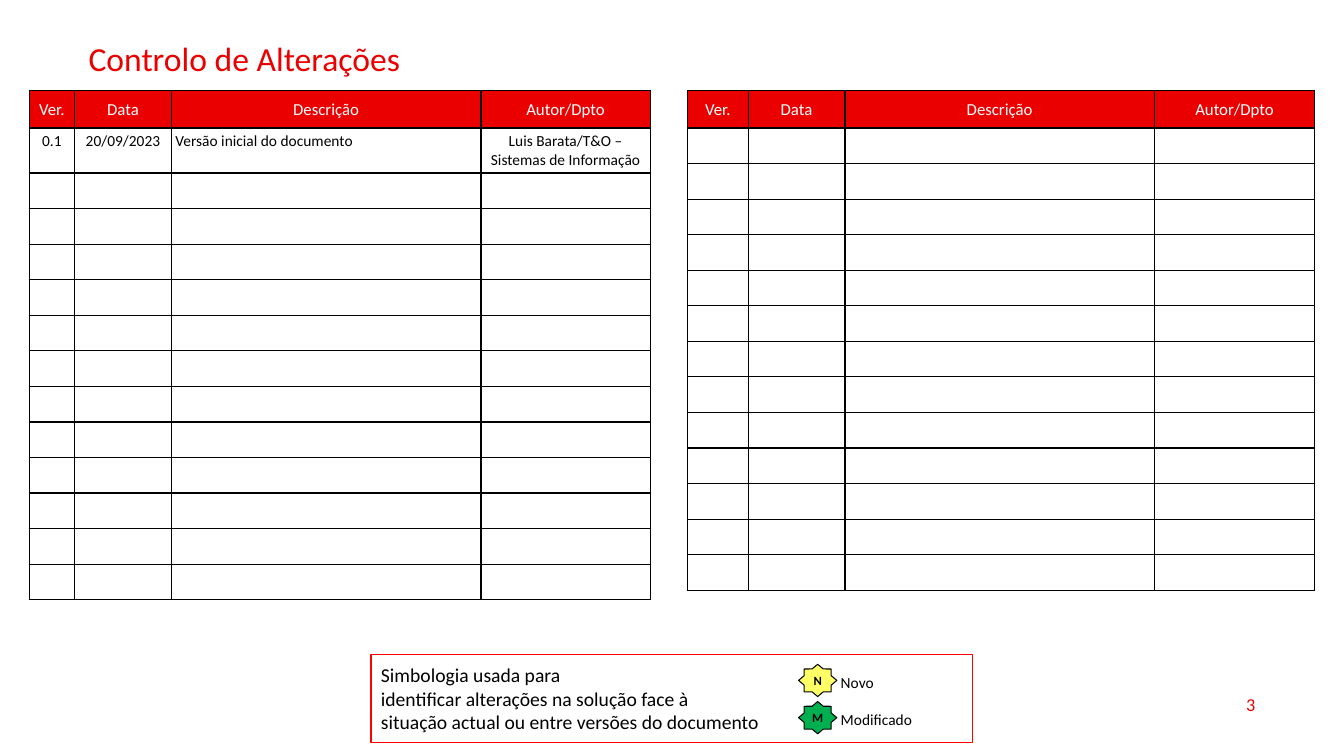
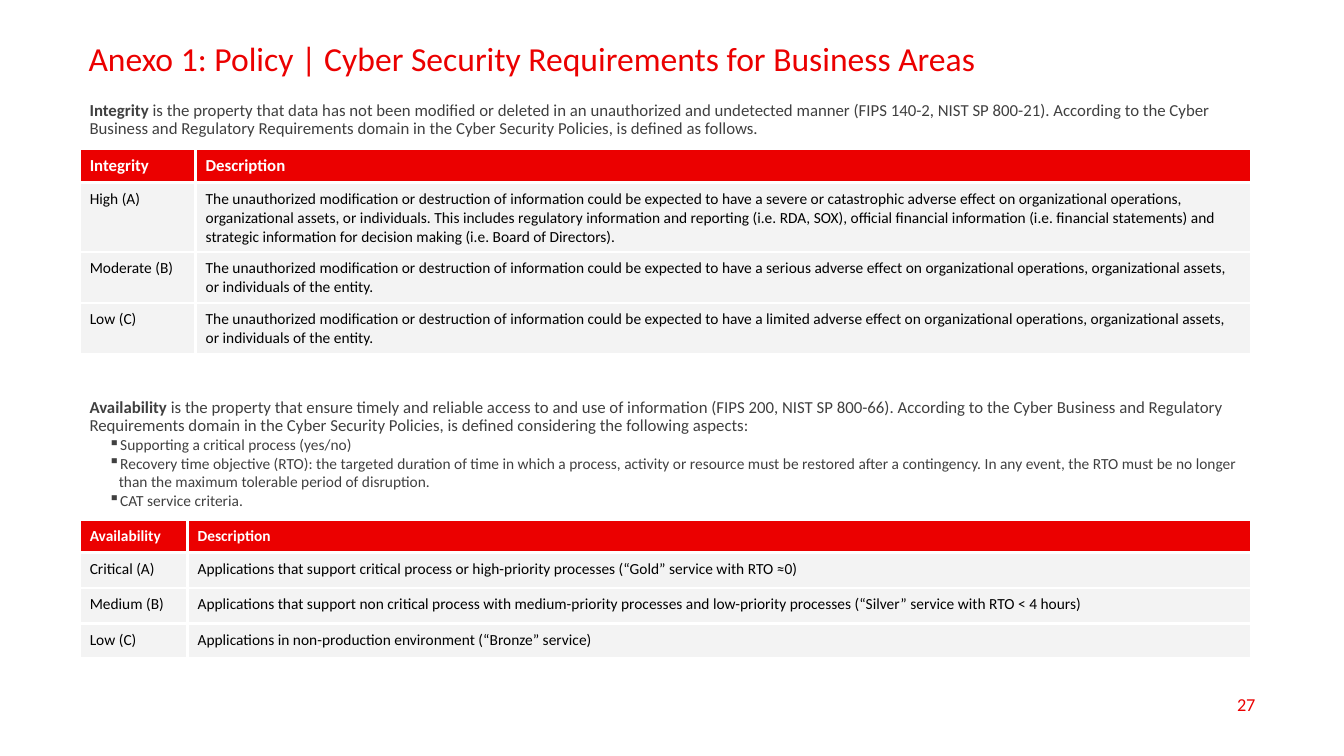
from lxml import etree
from pptx import Presentation
from pptx.dml.color import RGBColor
from pptx.enum import shapes, text
from pptx.oxml.ns import qn
from pptx.util import Inches, Pt


class Theme:
    font = "Calibri"
    red = RGBColor.from_string("EB0000")
    frame_red = RGBColor.from_string("FF0000")
    white = RGBColor.from_string("FFFFFF")
    black = RGBColor.from_string("000000")
    grey_text = RGBColor.from_string("404040")
    grey_cell = RGBColor.from_string("F3F3F3")
    yellow = RGBColor.from_string("FFFF66")
    green = RGBColor.from_string("00B050")
    title, legend, number, intro, body, badge = 24, 14, 13, 12, 11, 9


LEFT, CENTER, RIGHT = text.PP_ALIGN.LEFT, text.PP_ALIGN.CENTER, text.PP_ALIGN.RIGHT
TOP, MIDDLE = text.MSO_ANCHOR.TOP, text.MSO_ANCHOR.MIDDLE


def write(frame, lines, size, color, align=LEFT, anchor=TOP, bold=None, wrap=True):
    """Fill a text frame with one paragraph per line, all in one style."""
    frame.word_wrap = wrap
    frame.vertical_anchor = anchor
    for index, line in enumerate(lines):
        paragraph = frame.add_paragraph() if index else frame.paragraphs[0]
        paragraph.alignment = align
        font = paragraph.font
        font.name, font.size, font.bold = Theme.font, Pt(size), bold
        font.color.rgb = color
        if line:
            paragraph.add_run().text = line
        else:
            paragraph._p.get_or_add_endParaRPr().set("sz", str(size * 100))
    return frame


def add_grid(slide, at, widths, heights, rows, aligns, head_size, head_anchor,
             margins, body_fill, border):
    """Add a table with a red heading row and borders of one (colour, points)."""
    x, y = at
    table = slide.shapes.add_table(
        len(rows), len(widths), Inches(x), Inches(y),
        Inches(sum(widths)), Inches(sum(heights))).table
    table.horz_banding = False
    for column, width in zip(table.columns, widths):
        column.width = Inches(width)
    for row, height, values in zip(table.rows, heights, rows):
        row.height = Inches(height)
        is_head = values is rows[0]
        for cell, value, align in zip(row.cells, values, aligns):
            properties = cell._tc.get_or_add_tcPr()
            for side in ("a:lnL", "a:lnR", "a:lnT", "a:lnB"):
                line = etree.SubElement(properties, qn(side), w=str(Pt(border[1])))
                solid = etree.SubElement(line, qn("a:solidFill"))
                etree.SubElement(solid, qn("a:srgbClr"), val=str(border[0]))
            if is_head or body_fill is not None:
                cell.fill.solid()
                cell.fill.fore_color.rgb = Theme.red if is_head else body_fill
            else:
                cell.fill.background()
            cell.margin_left = cell.margin_right = Inches(margins[0])
            cell.margin_top = cell.margin_bottom = Inches(margins[1])
            cell.vertical_anchor = head_anchor if is_head else TOP
            write(cell.text_frame, [value],
                  head_size if is_head else Theme.body,
                  Theme.white if is_head else Theme.black,
                  align=CENTER if is_head and head_anchor == MIDDLE else align,
                  anchor=None, bold=is_head and head_anchor == TOP, wrap=None)
            cell.vertical_anchor = head_anchor if is_head else TOP


prs = Presentation()
prs.slide_width, prs.slide_height = Inches(13.33), Inches(7.5)

# Title and page number on every slide
slides = []
for heading, page in [
    ("Controlo de Alterações", "3"),
    ("Anexo 1: Policy | Cyber Security Requirements for Business Areas", "27"),
]:
    slide = prs.slides.add_slide(prs.slide_layouts[6])
    title = slide.shapes.add_textbox(Inches(0.78), Inches(0.37), Inches(11.77), Inches(0.33))
    write(title.text_frame, [heading], Theme.title, Theme.red)
    title.text_frame.paragraphs[0].line_spacing = 0.9
    number = slide.shapes.add_textbox(Inches(9.55), Inches(6.79), Inches(3), Inches(0.4))
    write(number.text_frame, [page], Theme.number, Theme.red, RIGHT, MIDDLE)
    slides.append(slide)
changes, policy = slides

# Change log: two tables of thirteen entries
ENTRIES = 13
HEAD_HEIGHT = 0.37
LOG_HEIGHT = 4.96
log_heights = [HEAD_HEIGHT] + [(LOG_HEIGHT - HEAD_HEIGHT) / ENTRIES] * ENTRIES
log_head = ["Ver.", "Data", "Descrição", "Autor/Dpto"]
first_entry = ["0.1", "20/09/2023", "Versão inicial do documento",
               "Luis Barata/T&O – Sistemas de Informação"]
for left, widths, entries in [
    (0.29, [0.45, 0.96, 3.07, 1.68], [first_entry]),
    (6.82, [0.6, 0.96, 3.07, 1.59], []),
]:
    blank_entries = [[""] * len(log_head)] * (ENTRIES - len(entries))
    add_grid(changes, (left, 0.9), widths, log_heights,
             [log_head] + entries + blank_entries,
             [CENTER, CENTER, LEFT, CENTER], Theme.intro, MIDDLE,
             (0.04, 0.04), None, (Theme.black, 1))

# Legend of change symbols
legend = changes.shapes.add_group_shape().shapes
frame = legend.add_shape(shapes.MSO_SHAPE.RECTANGLE,
                         Inches(3.68), Inches(6.49), Inches(5.97), Inches(0.88))
frame.shadow.inherit = False
frame.fill.background()
frame.line.color.rgb = Theme.frame_red
frame.line.width = Pt(0.75)
write(frame.text_frame,
      ["Simbologia usada para",
       "identificar alterações na solução face à",
       "situação actual ou entre versões do documento"],
      Theme.legend, Theme.black, anchor=MIDDLE)

meanings = legend.add_textbox(Inches(8.24), Inches(6.63), Inches(1.09), Inches(0.66))
write(meanings.text_frame, ["Novo", "Modificado"], Theme.body, Theme.black)
meanings.text_frame.paragraphs[1].space_before = Pt(13.4)

for letter, top, color in [("M", 6.96, Theme.green), ("N", 6.59, Theme.yellow)]:
    badge = legend.add_shape(shapes.MSO_SHAPE.STAR_8_POINT,
                             Inches(7.92), Inches(top), Inches(0.38), Inches(0.32))
    badge.adjustments[0] = 0.383
    badge.shadow.inherit = False
    badge.fill.solid()
    badge.fill.fore_color.rgb = color
    badge.line.color.rgb = Theme.black
    badge.line.width = Pt(0.75)
    write(badge.text_frame, [letter], Theme.badge, Theme.black, CENTER, MIDDLE,
          bold=True, wrap=False)

# Policy: a definition and a table of levels for each property
HARM = ("The unauthorized modification or destruction of information could be expected "
        "to have a {} adverse effect on organizational operations, organizational assets, "
        "or individuals")
properties = [
    ("Integrity", 0.96,
     " is the property that data has not been modified or deleted in an unauthorized and "
     "undetected manner (FIPS 140-2, NIST SP 800-21). According to the Cyber Business and "
     "Regulatory Requirements domain in the Cyber Security Policies, is defined as follows.",
     [],
     1.47, [1.15, 10.47], Theme.intro,
     [["High (A)", HARM.format("severe or catastrophic") +
       ". This includes regulatory information and reporting (i.e. RDA, SOX), official "
       "financial information (i.e. financial statements) and strategic information for "
       "decision making (i.e. Board of Directors)."],
      ["Moderate (B)", HARM.format("serious") + " of the entity."],
      ["Low (C)", HARM.format("limited") + " of the entity."]]),
    ("Availability", 3.91,
     " is the property that ensure timely and reliable access to and use of information "
     "(FIPS 200, NIST SP 800-66). According to the Cyber Business and Regulatory "
     "Requirements domain in the Cyber Security Policies, is defined considering the "
     "following aspects:",
     ["Supporting a critical process (yes/no)",
      "Recovery time objective (RTO): the targeted duration of time in which a process, "
      "activity or resource must be restored after a contingency. In any event, the RTO "
      "must be no longer than the maximum tolerable period of disruption.",
      "CAT service criteria."],
     5.16, [1.07, 10.55], Theme.body,
     [["Critical (A)", "Applications that support critical process or high-priority "
       "processes (“Gold” service with RTO ≈0)"],
      ["Medium (B)", "Applications that support non critical process with medium-priority "
       "processes and low-priority processes (“Silver” service with RTO < 4 hours)"],
      ["Low (C)", "Applications in non-production environment (“Bronze” service)"]]),
]
for term, top, meaning, aspects, table_top, widths, head_size, levels in properties:
    add_grid(policy, (0.79, table_top), widths, [0.26] + [0.35] * len(levels),
             [[term, "Description"]] + levels, [LEFT, LEFT], head_size, TOP,
             (0.1, 0.07), Theme.grey_cell, (Theme.white, 2.25))

    definition = policy.shapes.add_textbox(Inches(0.79), Inches(top), Inches(11.63), Inches(0.63))
    write(definition.text_frame, [term], Theme.intro, Theme.grey_text)
    intro = definition.text_frame.paragraphs[0]
    intro.line_spacing = 0.9
    intro.runs[0].font.bold = True
    intro.add_run().text = meaning
    for aspect in aspects:
        item = definition.text_frame.add_paragraph()
        item.level = 1
        item.text = aspect
        indents = item._p.get_or_add_pPr()
        indents.set("marL", str(Inches(0.29)))
        indents.set("indent", str(Inches(-0.1)))
        etree.SubElement(indents, qn("a:buChar"), char="▪")
        item.font.name, item.font.size = Theme.font, Pt(Theme.body)
        item.font.color.rgb = Theme.grey_text

prs.save("out.pptx")
